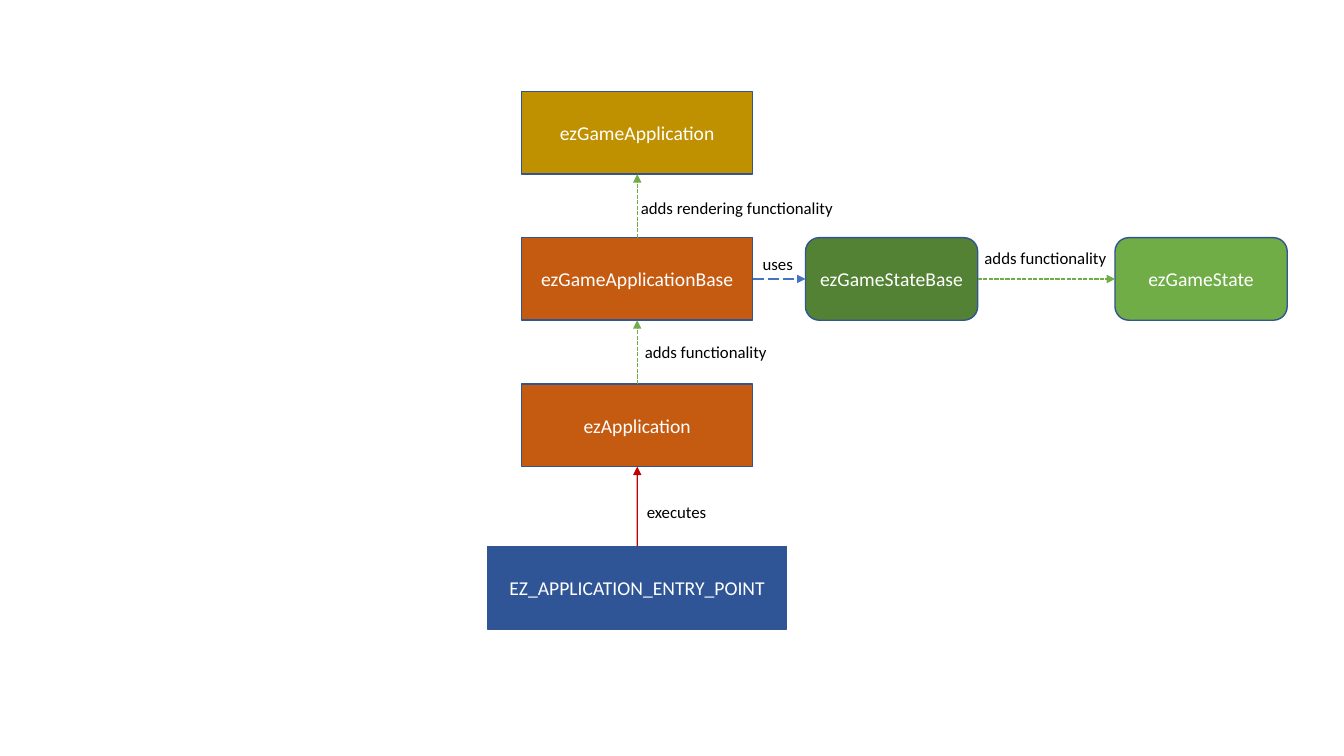
from lxml import etree
from pptx import Presentation
from pptx import util as u
from pptx.dml.color import RGBColor
from pptx.enum import dml, shapes, text
from pptx.oxml import ns

BOX_HEIGHT = 2.08
RECTANGLE = shapes.MSO_SHAPE.RECTANGLE
ROUNDED = shapes.MSO_SHAPE.ROUNDED_RECTANGLE
TOP, LEFT, BOTTOM, RIGHT = range(4)


def color(hex_value):
    return RGBColor.from_string(hex_value)


def write(shape, content, size=14, fill="FFFFFF", align=text.PP_ALIGN.CENTER,
          anchor=text.MSO_ANCHOR.MIDDLE, wrap=True):
    frame = shape.text_frame
    frame.word_wrap = wrap
    frame.vertical_anchor = anchor
    paragraph = frame.paragraphs[0]
    paragraph.alignment = align
    run = paragraph.add_run()
    run.text = content
    run.font.name = "Calibri"
    run.font.size = u.Pt(size)
    run.font.color.rgb = color(fill)


presentation = Presentation()
presentation.slide_width = u.Cm(33.87)
presentation.slide_height = u.Cm(19.05)
slide = presentation.slides.add_slide(presentation.slide_layouts[6])

boxes = {}
for name, kind, center, top, width, fill in [
    ("EZ_APPLICATION_ENTRY_POINT", RECTANGLE, 16.06, 13.77, 7.54, "2F5597"),
    ("ezApplication", RECTANGLE, 16.06, 9.68, 5.82, "C55A11"),
    ("ezGameApplicationBase", RECTANGLE, 16.06, 5.99, 5.82, "C55A11"),
    ("ezGameApplication", RECTANGLE, 16.06, 2.31, 5.82, "BF9000"),
    ("ezGameStateBase", ROUNDED, 22.47, 5.99, 4.34, "548235"),
    ("ezGameState", ROUNDED, 30.27, 5.99, 4.34, "70AD47"),
]:
    box = slide.shapes.add_shape(
        kind, u.Cm(center - width / 2), u.Cm(top), u.Cm(width), u.Cm(BOX_HEIGHT))
    box.shadow.inherit = False
    box.fill.solid()
    box.fill.fore_color.rgb = color(fill)
    box.line.color.rgb = color("325491")
    box.line.width = u.Pt(1)
    write(box, name)
    boxes[name] = box

SHORT_DASH = dml.MSO_LINE.SQUARE_DOT
LONG_DASH = dml.MSO_LINE.LONG_DASH
for source, source_side, target, target_side, stroke, dash in [
    ("EZ_APPLICATION_ENTRY_POINT", TOP, "ezApplication", BOTTOM, "C00000", None),
    ("ezApplication", TOP, "ezGameApplicationBase", BOTTOM, "70AD47", SHORT_DASH),
    ("ezGameApplicationBase", TOP, "ezGameApplication", BOTTOM, "70AD47", SHORT_DASH),
    ("ezGameApplicationBase", RIGHT, "ezGameStateBase", LEFT, "4472C4", LONG_DASH),
    ("ezGameStateBase", RIGHT, "ezGameState", LEFT, "70AD47", SHORT_DASH),
]:
    arrow = slide.shapes.add_connector(shapes.MSO_CONNECTOR.STRAIGHT, 0, 0, 0, 0)
    arrow.begin_connect(boxes[source], source_side)
    arrow.end_connect(boxes[target], target_side)
    arrow.line.color.rgb = color(stroke)
    arrow.line.width = u.Pt(1)
    if dash:
        arrow.line.dash_style = dash
    properties = arrow.line._get_or_add_ln()
    etree.SubElement(properties, ns.qn("a:tailEnd"), type="triangle")
    etree.SubElement(properties.getparent(), ns.qn("a:effectLst"))

for caption, left, top, width in [
    ("executes", 16.05, 12.52, 2.03),
    ("uses", 18.97, 6.27, 1.3),
    ("adds functionality", 16, 8.48, 3.61),
    ("adds rendering functionality", 15.9, 4.85, 5.38),
    ("adds functionality", 24.56, 6.12, 3.61),
]:
    label = slide.shapes.add_textbox(u.Cm(left), u.Cm(top), u.Cm(width), u.Cm(0.77))
    write(label, caption, size=12, fill="000000", align=text.PP_ALIGN.LEFT,
          anchor=text.MSO_ANCHOR.TOP, wrap=False)
    label.text_frame.auto_size = text.MSO_AUTO_SIZE.SHAPE_TO_FIT_TEXT

presentation.save("out.pptx")
